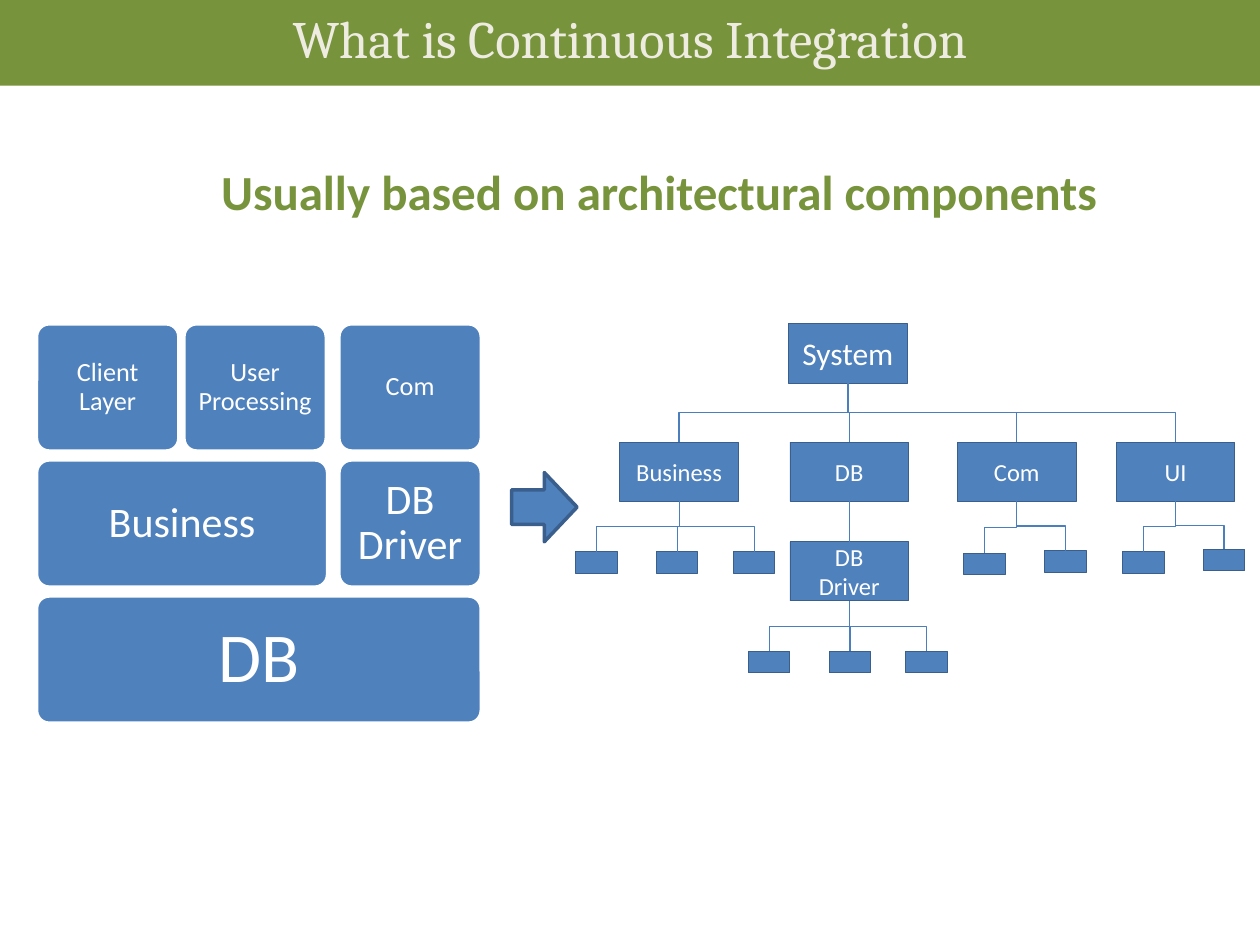
from dataclasses import dataclass

import pptx
import pptx.dml.color
import pptx.enum.shapes
import pptx.enum.text
import pptx.oxml.ns
import pptx.util
from lxml import etree
from pptx.util import Inches

SHAPE = pptx.enum.shapes.MSO_SHAPE
CONNECTOR = pptx.enum.shapes.MSO_CONNECTOR
ANCHOR = pptx.enum.text.MSO_ANCHOR
TOP, BOTTOM = 0, 2


@dataclass(frozen=True)
class Theme:
    green: str = "77933C"
    cream: str = "EEECE1"
    blue: str = "4F81BD"
    edge: str = "3A5F8C"
    link: str = "4B7EBC"
    white: str = "FFFFFF"
    heading_font: str = "Cambria"
    body_font: str = "Calibri"
    title: int = 30
    subtitle: int = 28
    layer: int = 40
    block: int = 24
    small_block: int = 15
    root: int = 18
    node: int = 14


THEME = Theme()


def color(value):
    return pptx.dml.color.RGBColor.from_string(value)


def set_text(shape, text, size, font=THEME.body_font, rgb=THEME.white, bold=False,
             anchor=ANCHOR.MIDDLE, inset=(0.1, 0.05), spacing=None):
    frame = shape.text_frame
    horizontal, vertical = map(Inches, inset)
    frame_format = {
        "word_wrap": True, "auto_size": pptx.enum.text.MSO_AUTO_SIZE.NONE,
        "vertical_anchor": anchor, "margin_left": horizontal,
        "margin_right": horizontal, "margin_top": vertical, "margin_bottom": vertical,
    }
    for name, value in frame_format.items():
        setattr(frame, name, value)
    paragraph = frame.paragraphs[0]
    paragraph.alignment = pptx.enum.text.PP_ALIGN.CENTER
    if spacing:
        paragraph.line_spacing = spacing
    run = paragraph.add_run()
    run.text = text
    for name, value in {"name": font, "size": pptx.util.Pt(size), "bold": bold}.items():
        setattr(run.font, name, value)
    run.font.color.rgb = color(rgb)


def add_filled(slide, kind, left, top, width, height, line, line_width):
    shape = slide.shapes.add_shape(kind, *map(Inches, (left, top, width, height)))
    shape.shadow.inherit = False
    shape.fill.solid()
    shape.fill.fore_color.rgb = color(THEME.blue)
    shape.line.color.rgb = color(line)
    shape.line.width = pptx.util.Pt(line_width)
    return shape


def add_title(slide, text):
    title = slide.shapes.title
    bounds = {"left": 0, "top": 0, "width": Inches(10), "height": Inches(0.68)}
    for name, value in bounds.items():
        setattr(title, name, value)
    title.fill.solid()
    title.fill.fore_color.rgb = color(THEME.green)
    set_text(title, text, THEME.title, THEME.heading_font, THEME.cream, anchor=ANCHOR.TOP)


def add_subtitle(slide, text):
    box = slide.shapes.add_textbox(*map(Inches, (1.41, 1.23, 7.64, 0.71)))
    set_text(box, text, THEME.subtitle, rgb=THEME.green, bold=True, anchor=ANCHOR.TOP)


def add_block(slide, text, left, row, width, size, inset):
    block = add_filled(slide, SHAPE.ROUNDED_RECTANGLE, left, 2.57 + row * 1.08,
                       width, 1.01, THEME.white, 2)
    block.adjustments[0] = 0.1
    set_text(block, text, size, inset=(inset, inset), spacing=0.9)


def add_node(slide, text, left, top, size=THEME.node):
    node = add_filled(slide, SHAPE.RECTANGLE, left, top, 0.94, 0.47, THEME.edge, 0.5)
    set_text(node, text, size)
    return node


def add_link(slide, parent, child, kind=CONNECTOR.ELBOW):
    """Join the parent's bottom to the child's top; elbows leave vertically."""
    begin_x, begin_y = parent.left + parent.width // 2, parent.top + parent.height
    end_x, end_y = child.left + child.width // 2, child.top
    link = slide.shapes.add_connector(kind, begin_x, begin_y, end_x, end_y)
    link.begin_connect(parent, BOTTOM)
    link.end_connect(child, TOP)
    link.line.color.rgb = color(THEME.link)
    link.line.width = pptx.util.Pt(0.75)
    properties = link._element.spPr
    etree.SubElement(properties, pptx.oxml.ns.qn("a:effectLst"))
    if kind == CONNECTOR.ELBOW:
        # A vertical elbow is a horizontal one turned by a quarter.
        rise, run = end_y - begin_y, abs(end_x - begin_x)
        bounds = {"left": (begin_x + end_x - rise) // 2, "width": rise,
                  "top": (begin_y + end_y - run) // 2, "height": run}
        for name, value in bounds.items():
            setattr(link, name, value)
        to_left = end_x < begin_x
        transform = properties.find(pptx.oxml.ns.qn("a:xfrm"))
        transform.set("rot", str((90 if to_left else 270) * 60000))
        transform.set("flipH", "0" if to_left else "1")


def add_leaves(slide, parent, positions):
    for left, top in positions:
        leaf = add_filled(slide, SHAPE.RECTANGLE, left, top, 0.33, 0.17, THEME.edge, 0.5)
        add_link(slide, parent, leaf)


def add_layers(slide):
    blocks = [
        ("Client Layer", 0.29, 0, 1.13, THEME.small_block, 0.06),
        ("User Processing", 1.46, 0, 1.13, THEME.small_block, 0.06),
        ("Com", 2.69, 0, 1.13, THEME.small_block, 0.06),
        ("Business", 0.29, 1, 2.31, THEME.block, 0.1),
        ("DB Driver", 2.69, 1, 1.13, THEME.block, 0.1),
        ("DB", 0.29, 2, 3.53, THEME.layer, 0.17),
    ]
    for block in blocks:
        add_block(slide, *block)


def add_tree(slide):
    system = add_node(slide, "System", 6.26, 2.57, THEME.root)
    branches = {}
    for text, left in (("Business", 4.92), ("DB", 6.27), ("Com", 7.6), ("UI", 8.86)):
        branches[text] = add_node(slide, text, left, 3.51)
        add_link(slide, system, branches[text])
    driver = add_node(slide, "DB Driver", 6.27, 4.3)
    add_link(slide, branches["DB"], driver, CONNECTOR.STRAIGHT)

    add_leaves(slide, branches["Business"], [(4.57, 4.38), (5.21, 4.38), (5.82, 4.38)])
    add_leaves(slide, driver, [(5.94, 5.17), (6.58, 5.17), (7.19, 5.17)])
    add_leaves(slide, branches["Com"], [(7.65, 4.39), (8.29, 4.37)])
    add_leaves(slide, branches["UI"], [(8.91, 4.38), (9.55, 4.36)])


def main():
    presentation = pptx.Presentation()
    presentation.slide_width = Inches(10)
    presentation.slide_height = Inches(7.5)
    slide = presentation.slides.add_slide(presentation.slide_layouts[5])
    add_title(slide, "What is Continuous Integration")
    add_subtitle(slide, "Usually based on architectural components")
    add_layers(slide)
    add_tree(slide)
    add_filled(slide, SHAPE.RIGHT_ARROW, 4.06, 3.75, 0.52, 0.55, THEME.edge, 2)
    presentation.save("out.pptx")


if __name__ == "__main__":
    main()
